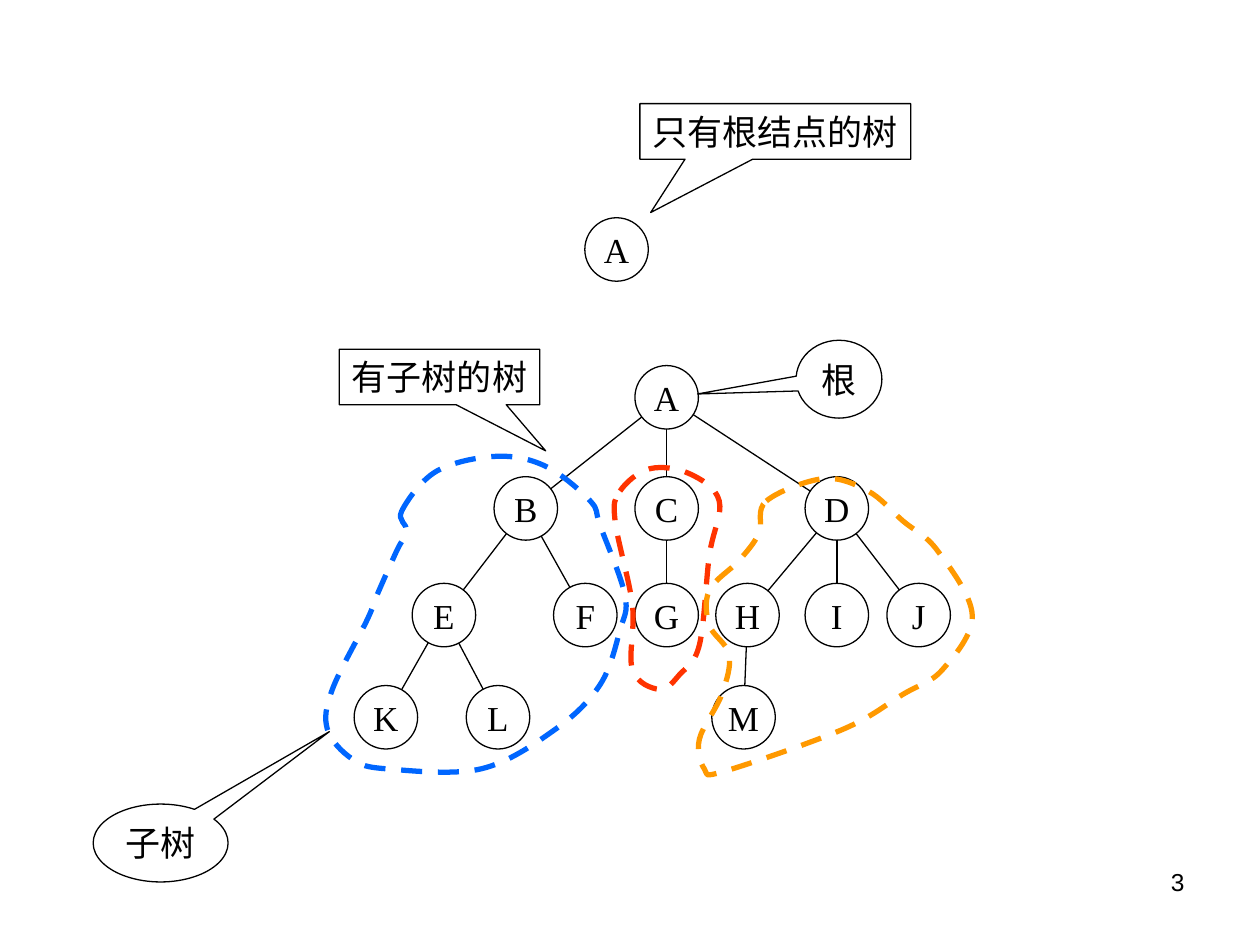
from math import hypot

from lxml import etree
from pptx import Presentation
from pptx.dml.color import RGBColor
from pptx.enum.dml import MSO_LINE
from pptx.enum.shapes import MSO_CONNECTOR, MSO_SHAPE
from pptx.enum.text import MSO_ANCHOR, MSO_AUTO_SIZE, PP_ALIGN
from pptx.oxml.ns import qn
from pptx.util import Cm, Pt

BLACK = RGBColor(0x00, 0x00, 0x00)
BLUE = RGBColor(0x00, 0x66, 0xFF)
RED = RGBColor(0xFF, 0x33, 0x00)
ORANGE = RGBColor(0xFF, 0x99, 0x00)

ELLIPSE = MSO_SHAPE.OVAL
BOX_CALLOUT = MSO_SHAPE.RECTANGULAR_CALLOUT
OVAL_CALLOUT = MSO_SHAPE.OVAL_CALLOUT
STRAIGHT = MSO_CONNECTOR.STRAIGHT
DASH = MSO_LINE.DASH
MIDDLE = MSO_ANCHOR.MIDDLE
GROW = MSO_AUTO_SIZE.SHAPE_TO_FIT_TEXT
CENTER = PP_ALIGN.CENTER
RIGHT = PP_ALIGN.RIGHT

NODE_SIZE = 1.28
NODE_RADIUS = NODE_SIZE / 2
CALLOUT_BOX_HEIGHT = 1.12
CALLOUT_OVAL_HEIGHT = 1.57

CHILDREN = {"A": "BCD", "B": "EF", "C": "G", "D": "HIJ", "E": "KL", "H": "M"}
LEVEL_CENTERS = {"A": 8.01, "BCD": 10.25, "EFGHIJ": 12.4, "KLM": 14.46}
NODE_CENTERS = {
    "A": 13.44,
    "B": 10.6, "C": 13.44, "D": 16.87,
    "E": 8.95, "F": 11.8, "G": 13.44, "H": 15.07, "I": 16.87, "J": 18.52,
    "K": 7.78, "L": 10.04, "M": 14.99,
}

SUBTREE_OUTLINES = {
    BLUE: [
        (8.1, 10.3), (8.8, 9.5), (10, 9.2), (11, 9.4), (11.9, 10.1), (12.1, 10.6), (12.6, 12),
        (12.5, 12.7), (12.1, 13.8), (11.2, 14.7), (9.7, 15.5), (7.8, 15.5), (7.1, 15.3),
        (6.6, 14.7), (6.7, 13.9), (7.4, 12.5), (7.6, 12), (8, 11.1), (8.2, 10.7),
    ],
    RED: [
        (12.5, 9.9), (13.1, 9.45), (13.9, 9.55), (14.5, 10.1), (14.3, 11.2), (14.1, 13),
        (13.7, 13.6), (13.3, 13.9), (12.75, 13.5), (12.75, 12.2), (12.4, 10.5),
    ],
    ORANGE: [
        (15.45, 10.1), (16.6, 9.65), (17.5, 9.9), (18.2, 10.5), (18.9, 11.1), (19.6, 12.4),
        (19, 13.5), (18.2, 14), (17, 14.7), (14.6, 15.55), (14.2, 15.5), (14.1, 14.9),
        (14.55, 14), (14.7, 13.2), (14.3, 12.6), (14.3, 11.9), (14.9, 11.3), (15.3, 10.75),
    ],
}


def write_text(frame, text, size, font, alignment):
    paragraph = frame.paragraphs[0]
    paragraph.alignment = alignment
    run = paragraph.add_run()
    run.text = text
    run.font.size = Pt(size)
    run.font.name = font
    run.font.color.rgb = BLACK


def style_outline(shape, color, width):
    shape.shadow.inherit = False
    shape.fill.background()
    shape.line.color.rgb = color
    shape.line.width = Pt(width)


def add_labelled_shape(shapes, kind, label, left, top, width, height):
    shape = shapes.add_shape(kind, Cm(left), Cm(top), Cm(width), Cm(height))
    style_outline(shape, BLACK, 0.75)
    frame = shape.text_frame
    frame.word_wrap = False
    frame.vertical_anchor = MIDDLE
    write_text(frame, label, 20, "Times New Roman", CENTER)
    return shape


def add_node(shapes, label, center_x, center_y):
    left, top = center_x - NODE_RADIUS, center_y - NODE_RADIUS
    add_labelled_shape(shapes, ELLIPSE, label, left, top, NODE_SIZE, NODE_SIZE)


def add_callout(shapes, kind, label, left, top, width, height, pointer):
    callout = add_labelled_shape(shapes, kind, label, left, top, width, height)
    callout.text_frame.auto_size = GROW
    callout.adjustments[0], callout.adjustments[1] = pointer


def add_branch(shapes, parent, child):
    (parent_x, parent_y), (child_x, child_y) = parent, child
    run, drop = child_x - parent_x, child_y - parent_y
    rim = NODE_RADIUS / hypot(run, drop)
    branch = shapes.add_connector(
        STRAIGHT,
        Cm(parent_x + run * rim), Cm(parent_y + drop * rim),
        Cm(child_x - run * rim), Cm(child_y - drop * rim),
    )
    branch.line.color.rgb = BLACK
    branch.line.width = Pt(0.75)
    etree.SubElement(branch._element.spPr, qn("a:effectLst"))


def add_tree(shapes):
    centers = {
        label: (NODE_CENTERS[label], center_y)
        for level, center_y in LEVEL_CENTERS.items()
        for label in level
    }
    for label, center in centers.items():
        add_node(shapes, label, *center)
    for parent, children in CHILDREN.items():
        for child in children:
            add_branch(shapes, centers[parent], centers[child])


def smooth_controls(before, start, end, after):
    leaving = [s + (e - b) / 6 for b, s, e in zip(before, start, end)]
    arriving = [e - (a - s) / 6 for s, e, a in zip(start, end, after)]
    return leaving, arriving


def add_subtree_outline(shapes, anchors, color):
    points = [(Cm(x), Cm(y)) for x, y in anchors]
    builder = shapes.build_freeform(*points[0])
    builder.add_line_segments(points[1:] + points[:1], close=True)
    outline = builder.convert_to_shape()
    style_outline(outline, color, 3)
    outline.line.dash_style = DASH

    count = len(points)
    for index, segment in enumerate(list(outline._element.iter(qn("a:lnTo")))):
        neighbours = [points[(index + step) % count] for step in (-1, 0, 1, 2)]
        segment.tag = qn("a:cubicBezTo")
        for position, (x, y) in enumerate(smooth_controls(*neighbours)):
            local_x, local_y = round(x - outline.left), round(y - outline.top)
            control = etree.Element(qn("a:pt"), x=str(local_x), y=str(local_y))
            segment.insert(position, control)


def add_page_number(shapes, number):
    box = shapes.add_textbox(Cm(18.2), Cm(17.35), Cm(5.93), Cm(1.32))
    box.text_frame.word_wrap = True
    write_text(box.text_frame, number, 14, "Arial", RIGHT)


def main():
    deck = Presentation()
    deck.slide_width, deck.slide_height = Cm(25.4), Cm(19.05)
    shapes = deck.slides.add_slide(deck.slide_layouts[6]).shapes

    root_only = shapes.add_group_shape().shapes
    add_node(root_only, "A", 12.43, 5.03)
    add_callout(root_only, BOX_CALLOUT, "只有根结点的树",
                12.9, 2.09, 5.46, CALLOUT_BOX_HEIGHT, (-0.46, 1.46))

    tree = shapes.add_group_shape().shapes
    add_tree(tree)
    add_callout(tree, BOX_CALLOUT, "有子树的树",
                6.84, 7.04, 4.04, CALLOUT_BOX_HEIGHT, (0.53, 1.33))

    for color, anchors in SUBTREE_OUTLINES.items():
        add_subtree_outline(shapes, anchors, color)

    add_callout(shapes, OVAL_CALLOUT, "根",
                16.05, 6.86, 1.73, CALLOUT_OVAL_HEIGHT, (-1.65, 0.19))
    add_callout(shapes, OVAL_CALLOUT, "子树",
                1.88, 16.21, 2.72, CALLOUT_OVAL_HEIGHT, (1.25, -1.43))
    add_page_number(shapes, "3")
    deck.save("out.pptx")


if __name__ == "__main__":
    main()
